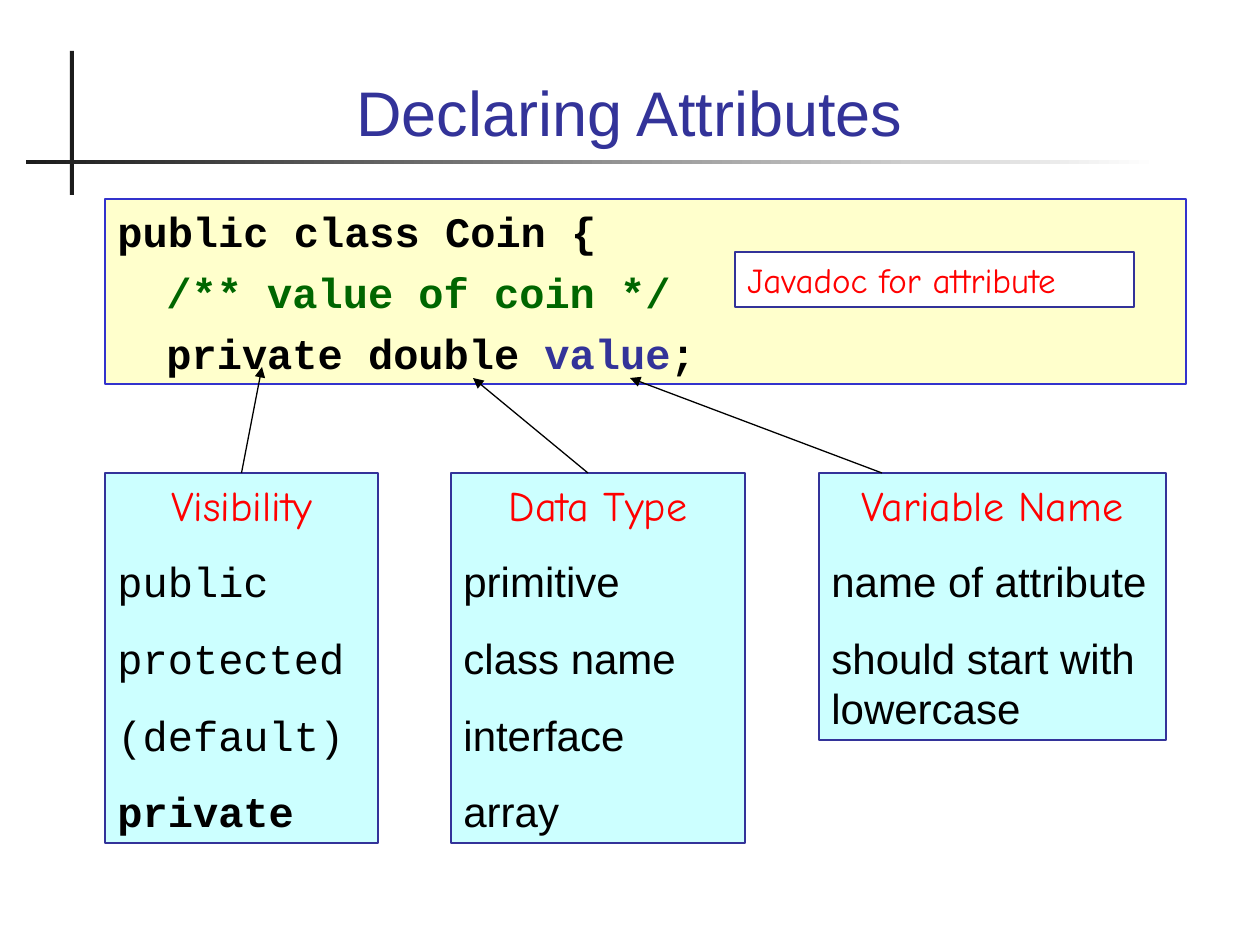
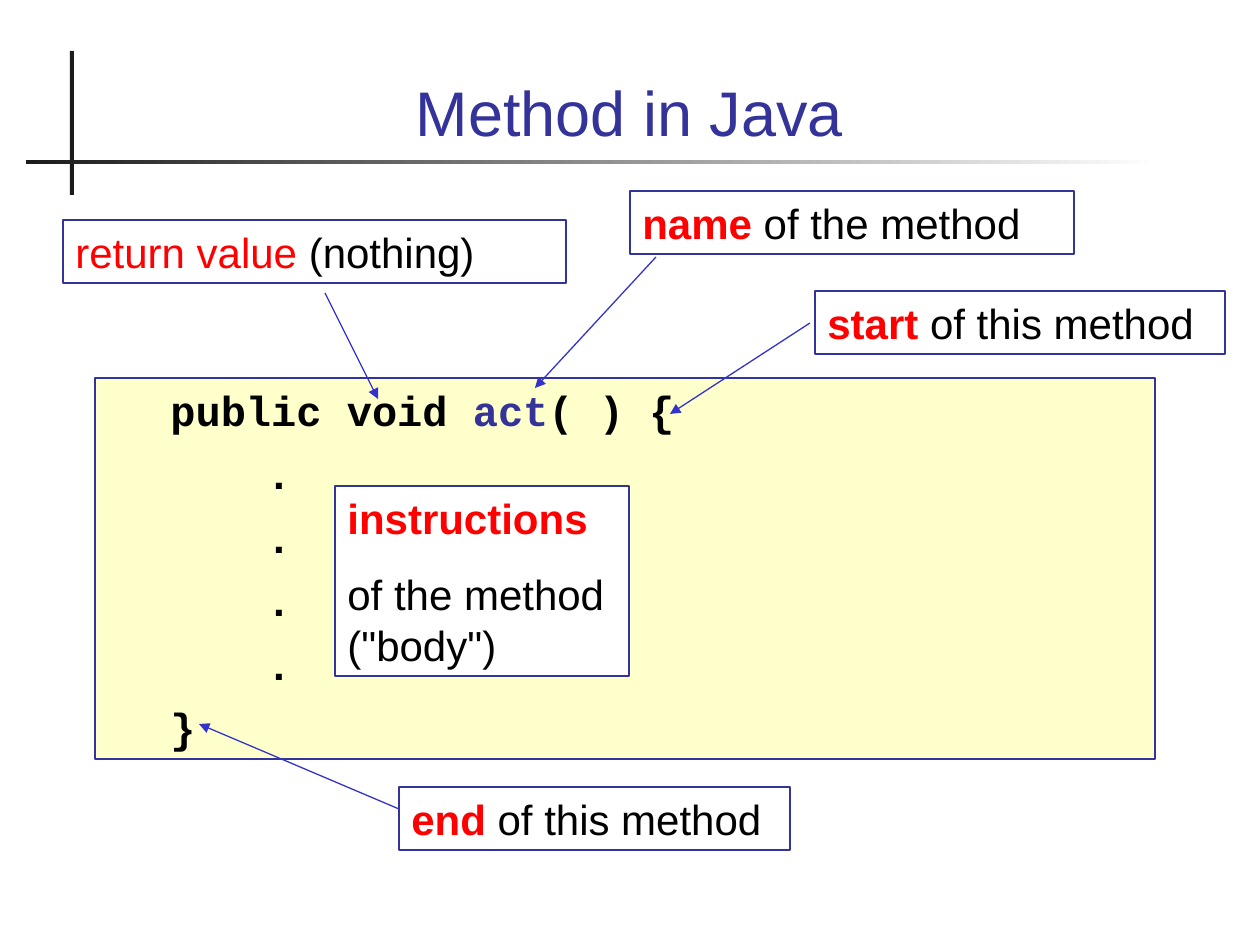
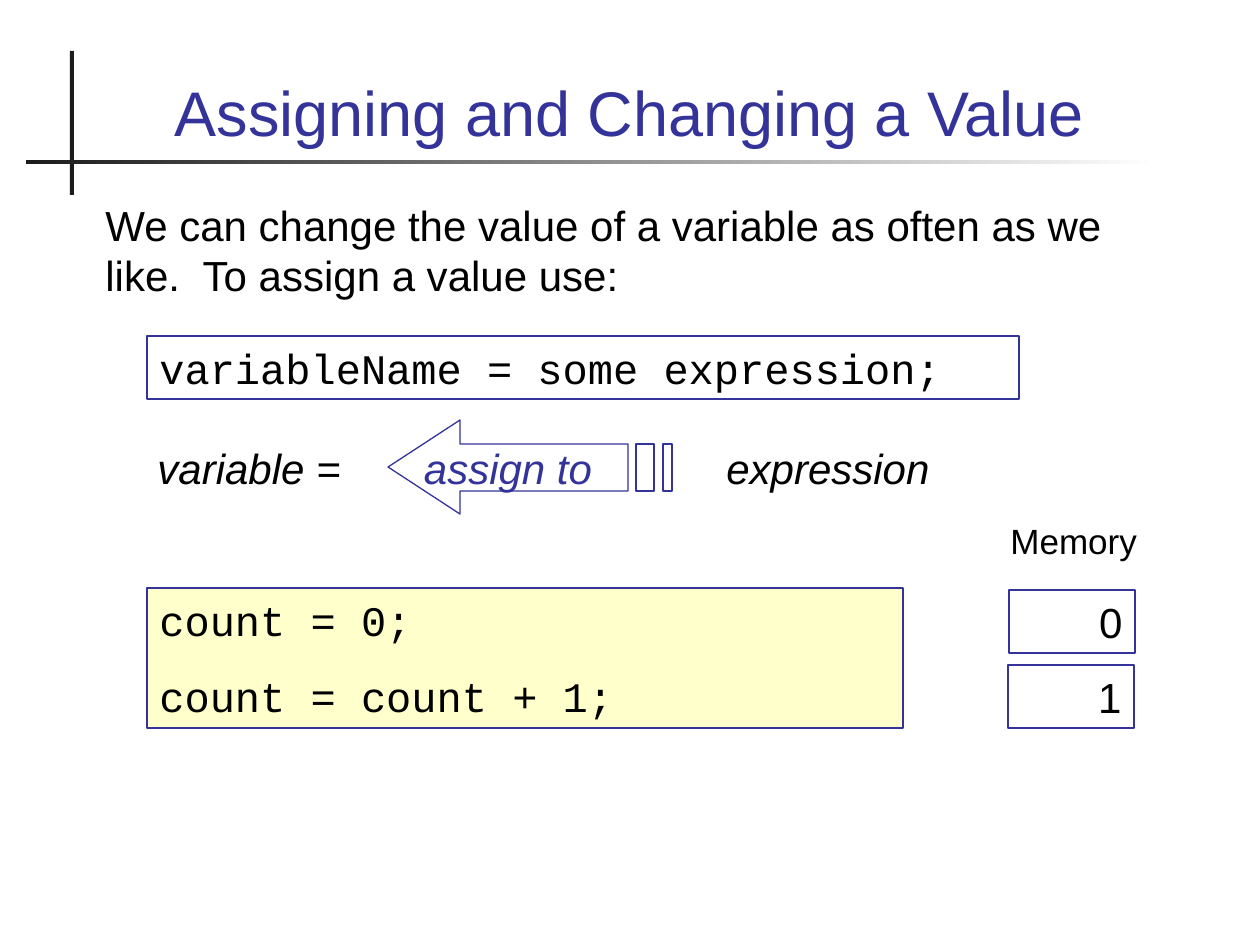
from lxml import etree
from pptx import Presentation
from pptx import util as u
from pptx.dml.color import RGBColor
from pptx.enum import shapes, text
from pptx.oxml.ns import qn

PX = 914400 / 126
BLACK = RGBColor(0, 0, 0)
WHITE = RGBColor(255, 255, 255)
INK = RGBColor(0x1C, 0x1C, 0x1C)
NAVY = RGBColor(0x33, 0x33, 0x99)
BLUE = RGBColor(0x33, 0x33, 0xCC)
RED = RGBColor(255, 0, 0)
GREEN = RGBColor(0, 0x66, 0)
CREAM = RGBColor(255, 255, 0xCC)
AQUA = RGBColor(0xCC, 255, 255)
SANS, CODE, HAND = "Arial", "Courier New", "Comic Neue"
LEFT, CENTER, RIGHT = text.PP_ALIGN.LEFT, text.PP_ALIGN.CENTER, text.PP_ALIGN.RIGHT


def add_box(slide, place, paragraphs, fill=None, line=NAVY, font=SANS, size=24,
            bold=False, italic=False, align=LEFT, gap=15, tabs=()):
    """Each paragraph is a list of (text, colour) or (text, colour, bold) runs."""
    place = [round(n * PX) for n in place]
    if line is None:
        box = slide.shapes.add_textbox(*place)
    else:
        box = slide.shapes.add_shape(shapes.MSO_SHAPE.RECTANGLE, *place)
        box.shadow.inherit = False
        box.line.color.rgb = line
        box.line.width = u.Pt(0.75)
        box.fill.background()
    if fill is not None:
        box.fill.solid()
        box.fill.fore_color.rgb = fill
    frame = box.text_frame
    frame.word_wrap = True
    frame.vertical_anchor = text.MSO_ANCHOR.TOP
    for index, runs in enumerate(paragraphs):
        paragraph = frame.add_paragraph() if index else frame.paragraphs[0]
        paragraph.alignment = align
        paragraph.line_spacing = u.Pt(size * 1.2)
        if index:
            paragraph.space_before = u.Pt(gap)
        if tabs:
            tab_list = etree.SubElement(paragraph._p.get_or_add_pPr(), qn("a:tabLst"))
            for tab in tabs:
                etree.SubElement(tab_list, qn("a:tab"), pos=str(round(tab * PX)), algn="l")
        paragraph.font.name = font
        paragraph.font.size = u.Pt(size)
        paragraph.font.bold = bold
        paragraph.font.italic = italic
        paragraph.font.color.rgb = runs[0][1]
        for words, color, *weight in runs:
            run = paragraph.add_run()
            run.text = words
            if color != runs[0][1]:
                run.font.color.rgb = color
            if weight:
                run.font.bold = weight[0]
    return box


def add_arrow(slide, start, end, color):
    arrow = slide.shapes.add_connector(
        shapes.MSO_CONNECTOR.STRAIGHT, *[round(n * PX) for n in (*start, *end)])
    arrow.line.color.rgb = color
    arrow.line.width = u.Pt(0.75)
    etree.SubElement(arrow.line._get_or_add_ln(), qn("a:tailEnd"), type="triangle")
    etree.SubElement(arrow._element.spPr, qn("a:effectLst"))
    return arrow


presentation = Presentation()
presentation.slide_width = round(1260 * PX)
presentation.slide_height = round(945 * PX)

# Title and crossed rules on every slide
slides = []
for title in ("Declaring Attributes", "Method in Java", "Assigning and Changing a Value"):
    slide = presentation.slides.add_slide(presentation.slide_layouts[6])
    slides.append(slide)
    for place in ((70, 51, 4, 144), (26, 160, 1133, 4)):
        rule = slide.shapes.add_shape(
            shapes.MSO_SHAPE.RECTANGLE, *[round(n * PX) for n in place])
        rule.shadow.inherit = False
        rule.line.fill.background()
        rule.fill.solid()
        rule.fill.fore_color.rgb = INK
    rule.fill.gradient()
    rule.fill.gradient_angle = 0
    for stop, color in zip(rule.fill.gradient_stops, (INK, WHITE)):
        stop.color.rgb = color
    heading = add_box(slide, (84, 35, 1091, 120), [[(title, NAVY)]],
                      line=None, size=36, align=CENTER)
    heading.text_frame.vertical_anchor = text.MSO_ANCHOR.BOTTOM
attributes, method, assigning = slides

# Declaring Attributes
add_box(attributes, (105, 199, 1081, 185), [
    [("public class Coin {", BLACK)],
    [("\t/** value of coin */", GREEN)],
    [("\tprivate double ", BLACK), ("value", NAVY), (";", BLACK)],
], fill=CREAM, line=BLUE, font=CODE, bold=True, gap=6, tabs=(49,))

columns = []
for left, width, height, font, lines in (
    (105, 273, 370, CODE, ("Visibility", "public", "protected", "(default)", "private")),
    (451, 294, 370, SANS, ("Data Type", "primitive", "class name", "interface", "array")),
    (819, 347, 267, SANS, ("Variable Name", "name of attribute",
                           "should start with lowercase")),
):
    column = add_box(attributes, (left, 473, width, height),
                     [[(line, BLACK if index else RED)] for index, line in enumerate(lines)],
                     fill=AQUA, font=font)
    header = column.text_frame.paragraphs[0]
    header.alignment = CENTER
    header.font.name = HAND
    columns.append(column)
visibility = columns[0]
visibility.text_frame.paragraphs[-1].font.bold = True

add_arrow(attributes, (882, 473), (630, 378), BLACK)
add_arrow(attributes, (588, 473), (473, 378), BLACK)
add_arrow(attributes, (242, 473), (262, 367), BLACK).begin_connect(visibility, 0)
add_box(attributes, (735, 252, 399, 55), [[("Javadoc for attribute", RED)]],
        fill=WHITE, font=HAND, size=20)

# Method in Java
add_box(method, (95, 378, 1060, 381), [
    [("\tpublic void ", BLACK), ("act", NAVY), ("( ) {", BLACK)],
    *[[("\t\t.", BLACK)]] * 4,
    [("\t}", BLACK)],
], fill=CREAM, font=CODE, bold=True, gap=7.5, tabs=(63, 159))

for place, term, bold, rest in (
    ((630, 191, 444, 63), "name", True, " of the method"),
    ((63, 220, 503, 63), "return value", False, " (nothing)"),
    ((399, 787, 391, 63), "end", True, " of this method"),
    ((815, 291, 410, 63), "start", True, " of this method"),
):
    add_box(method, place, [[(term, RED, bold), (rest, BLACK)]])
add_box(method, (335, 486, 294, 190),
        [[("instructions", RED, True)], [("of the method (\"body\")", BLACK)]], fill=WHITE)

for start, end in (
    ((656, 257), (535, 388)),
    ((325, 293), (378, 399)),
    ((399, 809), (199, 724)),
    ((810, 323), (670, 414)),
):
    add_arrow(method, start, end, BLUE)

# Assigning and Changing a Value
add_box(assigning, (93, 193, 1091, 122), [[(
    "We can change the value of a variable as often as we like.  To assign a value use:",
    BLACK)]], line=None)
add_box(assigning, (147, 588, 756, 140),
        [[("count = 0;", BLACK)], [("count = count + 1;", BLACK)]], fill=CREAM, font=CODE)
add_box(assigning, (147, 336, 872, 63),
        [[("variableName = some expression;", BLACK)]], font=CODE)

builder = assigning.shapes.build_freeform(628, 444, scale=PX)
builder.add_line_segments([(460, 444), (460, 420), (388, 467), (460, 514), (460, 491), (628, 491)])
for left, right in ((663, 672), (636, 654)):
    builder.move_to(right, 444)
    builder.add_line_segments([(left, 444), (left, 491), (right, 491)])
striped_arrow = builder.convert_to_shape()
striped_arrow.shadow.inherit = False
striped_arrow.fill.background()
striped_arrow.line.color.rgb = NAVY
striped_arrow.line.width = u.Pt(0.75)

for left, width, words, color, align in (
    (714, 286, "expression", BLACK, LEFT),
    (394, 228, "assign to", NAVY, CENTER),
    (145, 220, "variable =", BLACK, LEFT),
):
    add_box(assigning, (left, 436, width, 63), [[(words, color)]],
            line=None, italic=True, align=align)

add_box(assigning, (998, 513, 158, 55), [[("Memory", BLACK)]], line=None, size=20)
for left, top, value in ((1008, 665, "1"), (1009, 590, "0")):
    add_box(assigning, (left, top, 126, 63), [[(value, BLACK)]], align=RIGHT)

presentation.save("out.pptx")
